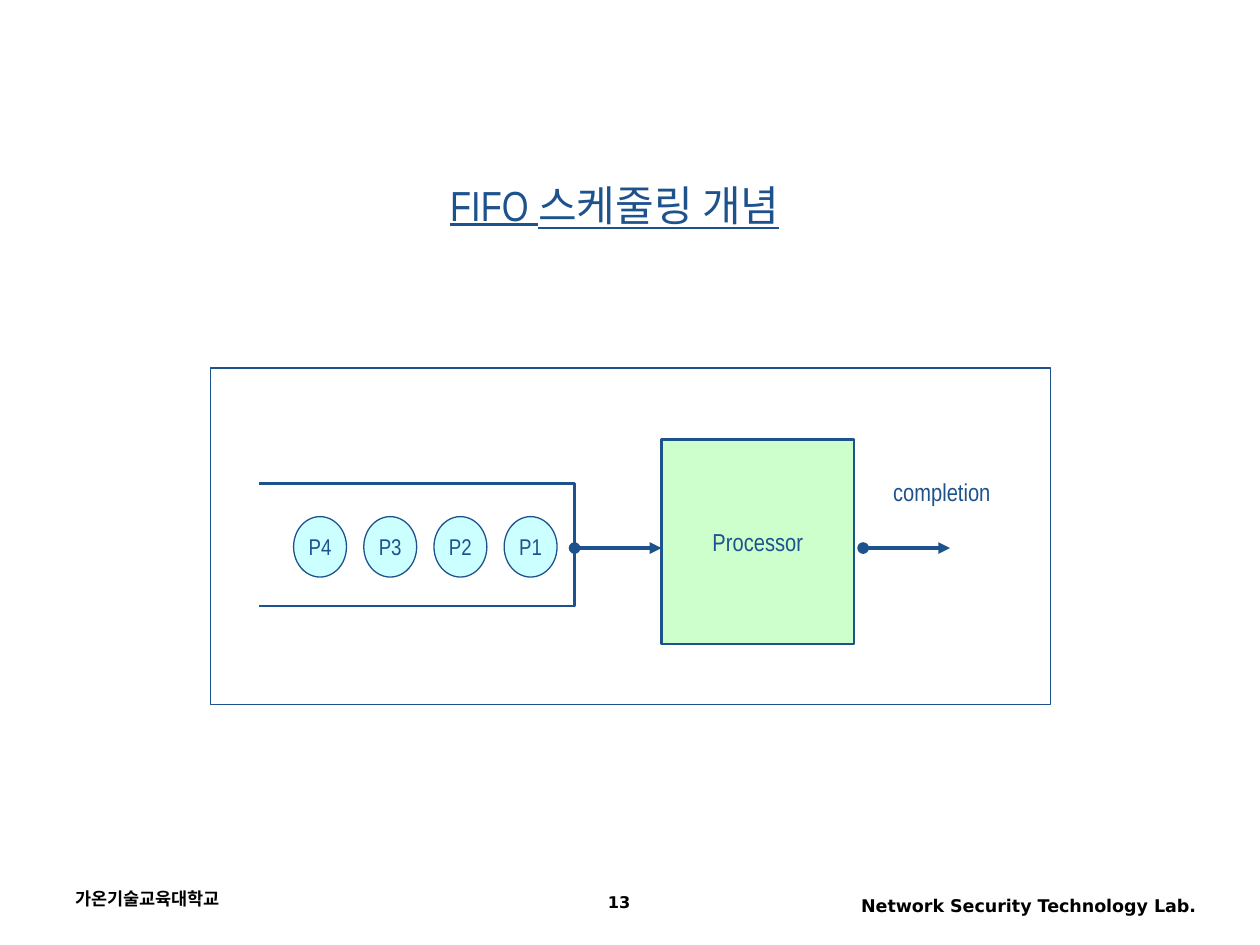
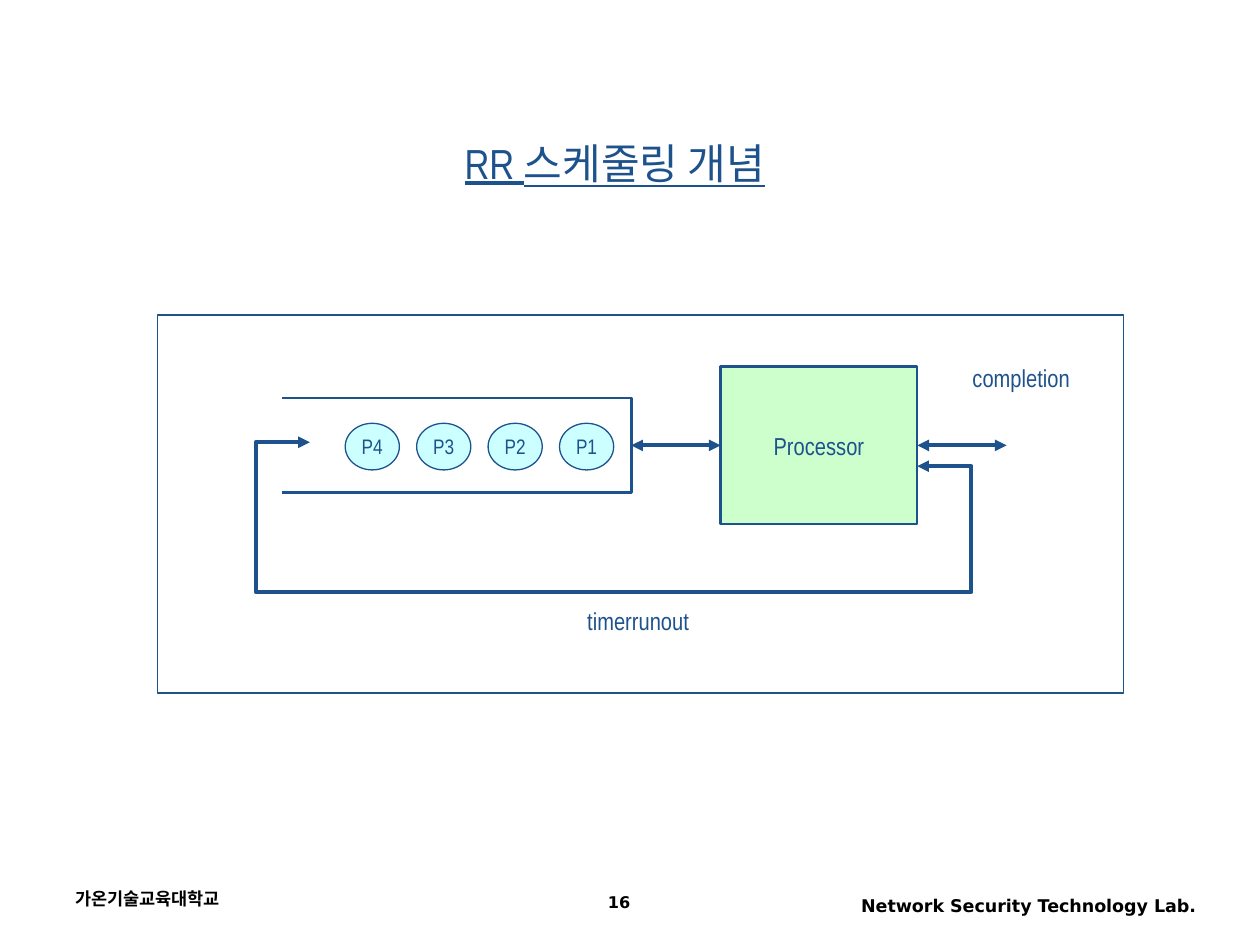
"""Build two slides that show the FIFO and RR scheduling concepts."""
from lxml import etree
from pptx import Presentation
from pptx import util as u
from pptx.dml.color import RGBColor
from pptx.enum import shapes, text
from pptx.oxml.ns import qn

BLUE = RGBColor(0x1D, 0x52, 0x8D)
GREEN = RGBColor(0xCC, 0xFF, 0xCC)
CYAN = RGBColor(0xCC, 0xFF, 0xFF)
WHITE = RGBColor(0xFF, 0xFF, 0xFF)
BLACK = RGBColor(0, 0, 0)
BODY = "Arial Narrow"
FOOT = "DejaVu Sans"
LEFT, MID, RIGHT = text.PP_ALIGN.LEFT, text.PP_ALIGN.CENTER, text.PP_ALIGN.RIGHT
JOBS = ("P4", "P3", "P2", "P1")

FIFO = {
    "frame": (1.67, 2.92, 6.67, 2.67),
    "cpu": (3.58, 0.57, 1.53, 1.62),
    "queue": (0.39, 0.92, 2.5, 0.97),
    "job": (0.66, 1.18, 0.42, 0.48),
    "step": 0.557,
    "size": 13,
    "flow": 1.43,
    "gap": 0.07,
    "head": "oval",
    "done": (5.32, 0.82, 0.97, 0.34),
}
ROBIN = {
    "frame": (1.25, 2.5, 7.67, 3),
    "cpu": (4.47, 0.41, 1.56, 1.25),
    "queue": (0.99, 0.66, 2.77, 0.75),
    "job": (1.49, 0.86, 0.43, 0.37),
    "step": 0.567,
    "size": 12,
    "flow": None,
    "gap": 0,
    "head": "triangle",
    "done": (6.37, 0.33, 0.97, 0.34),
}


def inches(*nums):
    """Turn numbers into lengths."""
    return [u.Inches(n) for n in nums]


def within(box, part):
    """Shift a part by the corner of its box."""
    return (box[0] + part[0], box[1] + part[1], *part[2:])


def write(shape, words, size, align=MID, face=BODY, color=BLUE, bold=False):
    """Set and format the one paragraph of a shape."""
    frame = shape.text_frame
    frame.text = words
    para = frame.paragraphs[0]
    para.alignment = align
    font = para.runs[0].font
    font.name, font.size, font.bold = face, u.Pt(size), bold
    font.color.rgb = color
    return para


def block(slide, kind, box, fill, width, words=None, size=14):
    """Add a filled, outlined shape with an optional centred word."""
    shape = slide.shapes.add_shape(kind, *inches(*box))
    shape.shadow.inherit = False
    shape.fill.solid()
    shape.fill.fore_color.rgb = fill
    shape.line.color.rgb = BLUE
    shape.line.width = u.Pt(width)
    if words:
        write(shape, words, size)
        shape.text_frame.word_wrap = False
        shape.text_frame.vertical_anchor = text.MSO_ANCHOR.MIDDLE
    return shape


def label(slide, box, words):
    """Add a free label."""
    shape = slide.shapes.add_textbox(*inches(*box))
    shape.text_frame.word_wrap = False
    write(shape, words, 14)


def tips(shape, head, tail="triangle"):
    """Put ends on a line that has its colour."""
    line = shape.element.spPr.find(qn("a:ln"))
    for tag, kind in (("a:headEnd", head), ("a:tailEnd", tail)):
        etree.SubElement(line, qn(tag)).set("type", kind)


def arrow(slide, left, right, y, head):
    """Add a level arrow."""
    link = slide.shapes.add_connector(
        shapes.MSO_CONNECTOR.STRAIGHT, *inches(left, y, right, y))
    link.line.color.rgb = BLUE
    link.line.width = u.Pt(2.25)
    tips(link, head)
    etree.SubElement(link.element.spPr, qn("a:effectLst"))
    return link


def trace(slide, points, width):
    """Add an open outline through the points."""
    spots = [inches(*point) for point in points]
    pen = slide.shapes.build_freeform(*spots[0])
    pen.add_line_segments(spots[1:], close=False)
    shape = pen.convert_to_shape()
    shape.shadow.inherit = False
    shape.fill.background()
    shape.line.color.rgb = BLUE
    shape.line.width = u.Pt(width)
    return shape


def title(slide, box, words):
    """Place and format the underlined title."""
    shape = slide.shapes.title
    shape.left, shape.top, shape.width, shape.height = inches(*box)
    para = write(shape, words, 24)
    para.runs[0].font.underline = True
    shape.text_frame.auto_size = text.MSO_AUTO_SIZE.NONE
    shape.text_frame.word_wrap = False
    shape.text_frame.vertical_anchor = text.MSO_ANCHOR.MIDDLE


def footer(slide, number):
    """Add the school, laboratory and page number."""
    for box, words, size, align in (
        ((0.5, 7, 2.33, 0.33), "가온기술교육대학교", 10, LEFT),
        ((6.42, 7.05, 3.17, 0.32), "Network Security Technology Lab.", 10, RIGHT),
        ((3.75, 7.05, 2.33, 0.28), str(number), 9.2, MID),
    ):
        shape = slide.shapes.add_textbox(*inches(*box))
        shape.text_frame.word_wrap = True
        para = write(shape, words, size, align, FOOT, BLACK, True)
        if align == MID:
            para.line_spacing = 0.9


def queue(slide, box, plan):
    """Draw the open queue and its waiting jobs."""
    left, top, wide, high = within(box, plan["queue"])
    right, base = left + wide, top + high
    trace(slide, [(left, top), (right, top), (right, base), (left, base)], 1.5)
    x, y, *size = within(box, plan["job"])
    for i, job in enumerate(JOBS):
        block(slide, shapes.MSO_SHAPE.OVAL, (x + i * plan["step"], y, *size),
              CYAN, 0.75, job, plan["size"])
    return right


def diagram(slide, plan):
    """Draw the queue, processor and flow inside the frame."""
    box = plan["frame"]
    block(slide, shapes.MSO_SHAPE.RECTANGLE, box, WHITE, 0.75)
    left, top, wide, high = spot = within(box, plan["cpu"])
    cpu = block(slide, shapes.MSO_SHAPE.RECTANGLE, spot, GREEN, 1.5, "Processor")
    start = queue(slide, box, plan)
    joined = plan["flow"] is None
    y = top + high / 2 if joined else box[1] + plan["flow"]
    exit_x = left + wide + plan["gap"]
    enter = arrow(slide, start, left, y, plan["head"])
    leave = arrow(slide, exit_x, exit_x + left - start, y, plan["head"])
    if joined:
        enter.end_connect(cpu, 1)
        leave.begin_connect(cpu, 3)
    label(slide, within(box, plan["done"]), "completion")


def loop(slide, box):
    """Draw the way back from the processor to the queue."""
    points = ((6.03, 1.2), (6.46, 1.2), (6.46, 2.2),
              (0.78, 2.2), (0.78, 1.01), (1.21, 1.01))
    line = trace(slide, [within(box, point) for point in points], 2.25)
    tips(line, "triangle")
    label(slide, within(box, (3.31, 2.26, 1.01, 0.34)), "timerrunout")


def page(deck, words, top, number, plan):
    """Add a slide with title, diagram and footer."""
    slide = deck.slides.add_slide(deck.slide_layouts[5])
    title(slide, (3.42, top, 2.92, 0.25), words)
    footer(slide, number)
    diagram(slide, plan)
    return slide


def main():
    """Build and save the deck."""
    deck = Presentation()
    deck.slide_width, deck.slide_height = inches(10, 7.5)
    page(deck, "FIFO 스케줄링 개념", 1.5, 13, FIFO)
    robin = page(deck, "RR 스케줄링 개념", 1.17, 16, ROBIN)
    loop(robin, ROBIN["frame"])
    deck.save("out.pptx")


if __name__ == "__main__":
    main()
